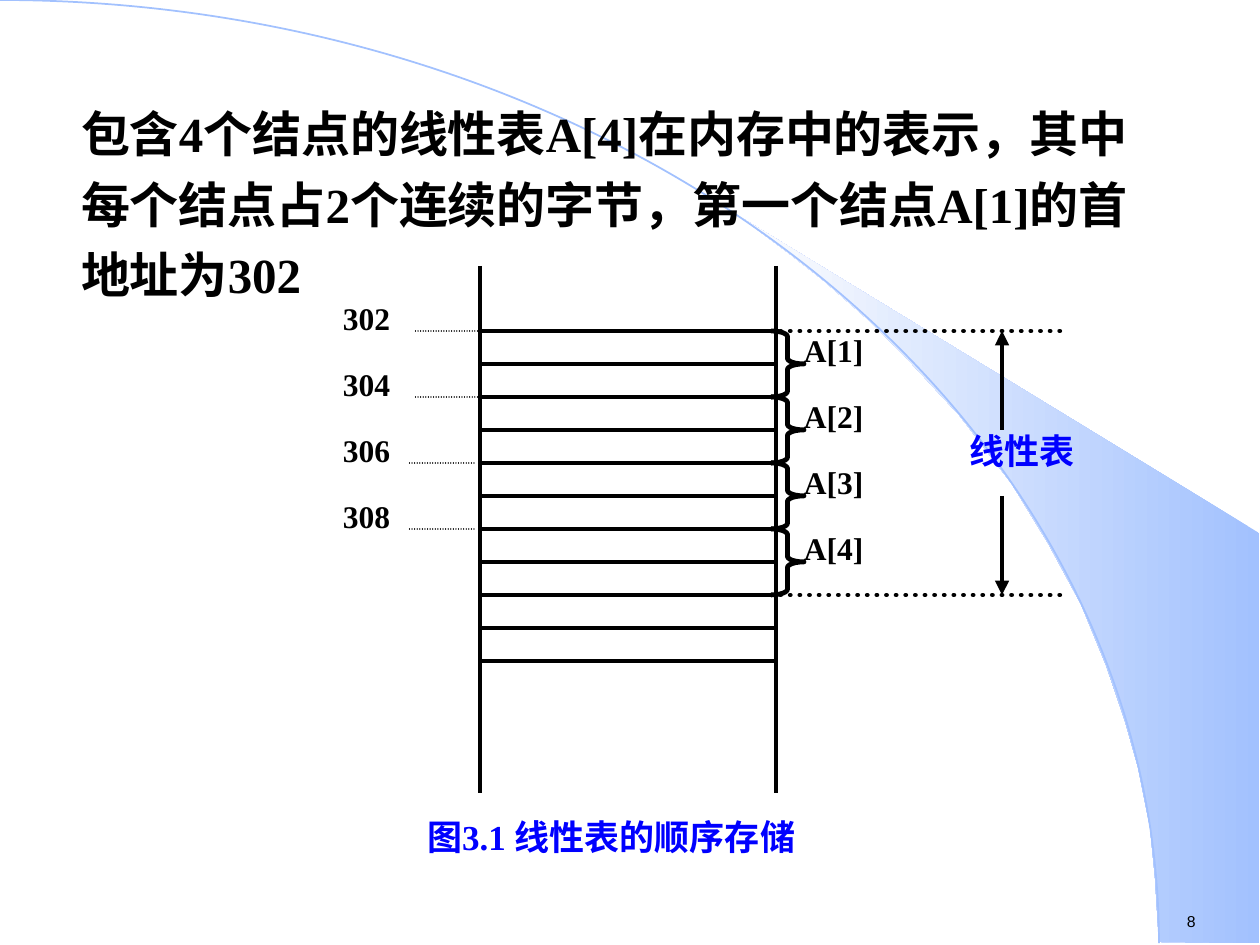
from lxml.etree import SubElement
from pptx import Presentation
from pptx.dml.color import RGBColor
from pptx.enum.dml import MSO_LINE
from pptx.enum.shapes import MSO_CONNECTOR, MSO_SHAPE
from pptx.enum.text import PP_ALIGN
from pptx.oxml.ns import qn
from pptx.util import Pt

SCALE = 914400 / 126  # EMU per px
BLACK, BLUE, SKY, PALE = "000000", "0000FF", "A2C1FE", "FEFEFE"


def px(n):
    return round(n * SCALE)


def rgb(color):
    return RGBColor.from_string(color)


class Slide:
    font = "Times New Roman"
    thick = 2.75

    def __init__(self, prs):
        self.s = prs.slides.add_slide(prs.slide_layouts[6])

    def text(self, x, y, w, h, text, size=18, color=BLACK, font=None, bold=True,
             inset=(0, 0), align=PP_ALIGN.JUSTIFY, spacing=None, indent=0):
        sp = self.s.shapes.add_textbox(px(x), px(y), px(w), px(h))
        tf = sp.text_frame
        side, end = px(inset[0]), px(inset[1])
        frame = {"word_wrap": True, "margin_left": side, "margin_right": side,
                 "margin_top": end, "margin_bottom": end}
        for name, value in frame.items():
            setattr(tf, name, value)
        p = tf.paragraphs[0]
        p.alignment = align
        if spacing:
            p.line_spacing = spacing
        if indent:
            p._p.get_or_add_pPr().set("marL", str(px(indent)))
        r = p.add_run()
        r.text = text
        for name, value in {"name": font or self.font, "size": Pt(size), "bold": bold}.items():
            setattr(r.font, name, value)
        r.font.color.rgb = rgb(color)

    def stroke(self, sp, color, width):
        sp.line.color.rgb = rgb(color)
        sp.line.width = Pt(width)

    def line(self, x1, y1, x2, y2, width=None, dotted=False, arrow=False):
        sp = self.s.shapes.add_connector(MSO_CONNECTOR.STRAIGHT, px(x1), px(y1), px(x2), px(y2))
        self.stroke(sp, BLACK, width or self.thick)
        if dotted:
            sp.line.dash_style = MSO_LINE.ROUND_DOT
            sp.line._get_or_add_ln().set("cap", "rnd")
        if arrow:
            SubElement(sp.line._get_or_add_ln(), qn("a:tailEnd"), type="triangle")
        SubElement(sp._element.spPr, qn("a:effectLst"))

    def outline(self, kind, x, y, w, h, color=BLACK, width=None):
        sp = self.s.shapes.add_shape(kind, px(x), px(y), px(w), px(h))
        sp.shadow.inherit = False
        sp.fill.background()
        self.stroke(sp, color, width or self.thick)
        return sp

    def gradient_area(self, points, start, end):
        fb = self.s.shapes.build_freeform(*points[0], scale=SCALE)
        fb.add_line_segments(points[1:], close=True)
        sp = fb.convert_to_shape()
        sp.shadow.inherit = False
        sp.line.fill.background()
        sp.fill.gradient()
        sp.fill.gradient_angle = 180
        for stop, color, position in zip(sp.fill.gradient_stops, (start, end), (0, 1)):
            stop.color.rgb = rgb(color)
            stop.position = position


def main():
    prs = Presentation()
    prs.slide_width, prs.slide_height = px(1260), px(945)
    s = Slide(prs)

    # Background sweep, arc and page number
    s.gradient_area([(1159, 942), (1259, 943), (1259, 533), (742, 218), (786, 251), (823, 280),
                     (863, 315), (902, 353), (960, 416), (1012, 484), (1048, 543), (1081, 604),
                     (1106, 665), (1125, 721), (1138, 767), (1150, 827), (1155, 877)], SKY, PALE)
    s.outline(MSO_SHAPE.ARC, -1159, 0, 2318, 1886, SKY, 1)
    s.text(1174, 906, 80, 32, "8", 9, font="Arial", bold=False, inset=(13, 6),
           align=PP_ALIGN.LEFT)

    # Description
    s.text(20, 86, 1155, 698,
           "包含4个结点的线性表A[4]在内存中的表示，其中每个结点占2个连续的字节，"
           "第一个结点A[1]的首地址为302",
           28, inset=(13, 6), align=PP_ALIGN.LEFT, spacing=1.2, indent=48)

    # Memory column: two rails and eleven cell borders
    left, right, top, cell = 480, 776, 331, 33
    node = 2 * cell
    for x in (left, right):
        s.line(x, 266, x, 793)
    for row in range(11):
        y = top + row * cell
        s.line(left, y, right, y)

    # Nodes: address, leader, brace and name
    for i, leader_end in enumerate((left, left, 474, 474)):
        y = top + i * node
        s.text(343, y - 32, node, node, str(302 + 2 * i))
        s.line(leader_end, y, leader_end - 66, y, width=0.75, dotted=True)
        brace = s.outline(MSO_SHAPE.RIGHT_BRACE, 771, y, cell, node)
        brace.adjustments[0] = 0.17
        s.text(804, y, 99, node, f"A[{i + 1}]")

    # Extent of the whole list
    bottom = top + 4 * node
    for y, arrow_start in ((top, 430), (bottom, 496)):
        s.line(771, y, 1068, y, dotted=True)
        s.line(1002, arrow_start, 1002, y, arrow=True)
    s.text(969, 430, 231, node, "线性表", 20, BLUE)

    # Caption
    s.text(427, 815, 495, 58, "图3.1 线性表的顺序存储", 20, BLUE)

    prs.save("out.pptx")


if __name__ == "__main__":
    main()
